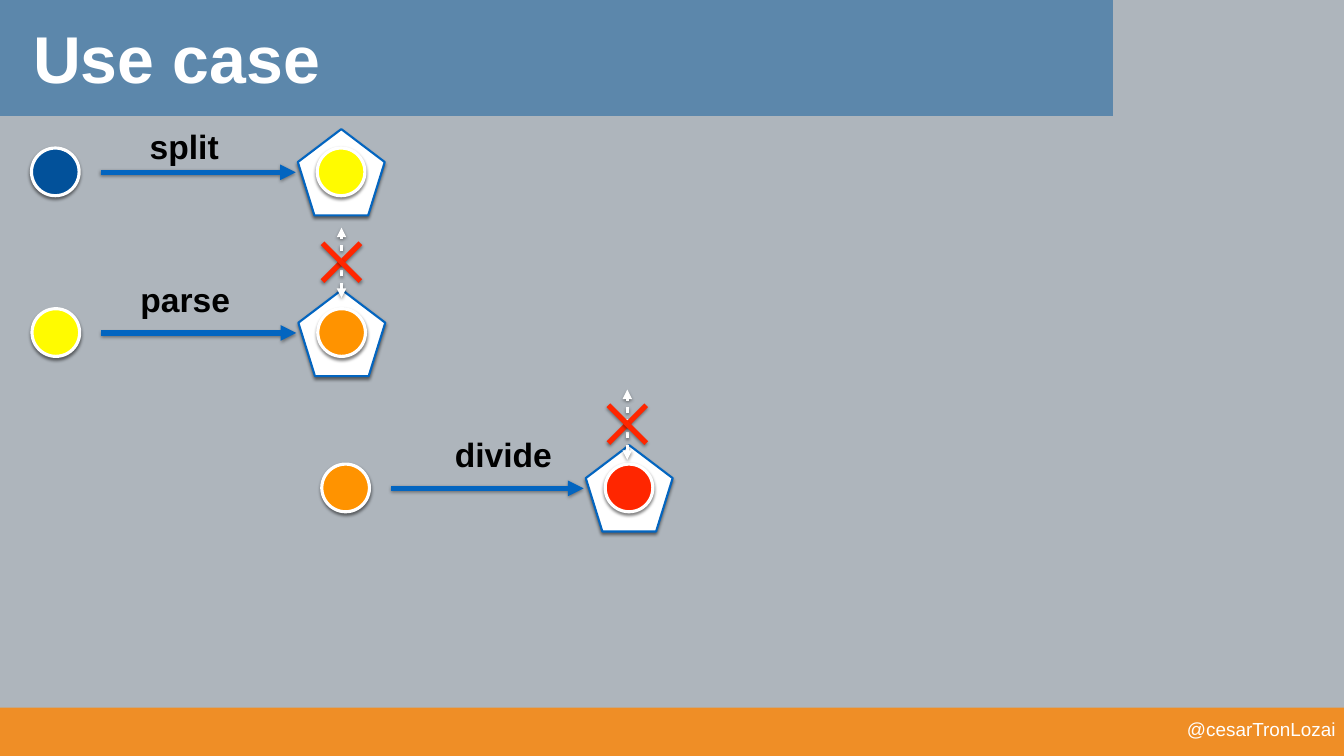
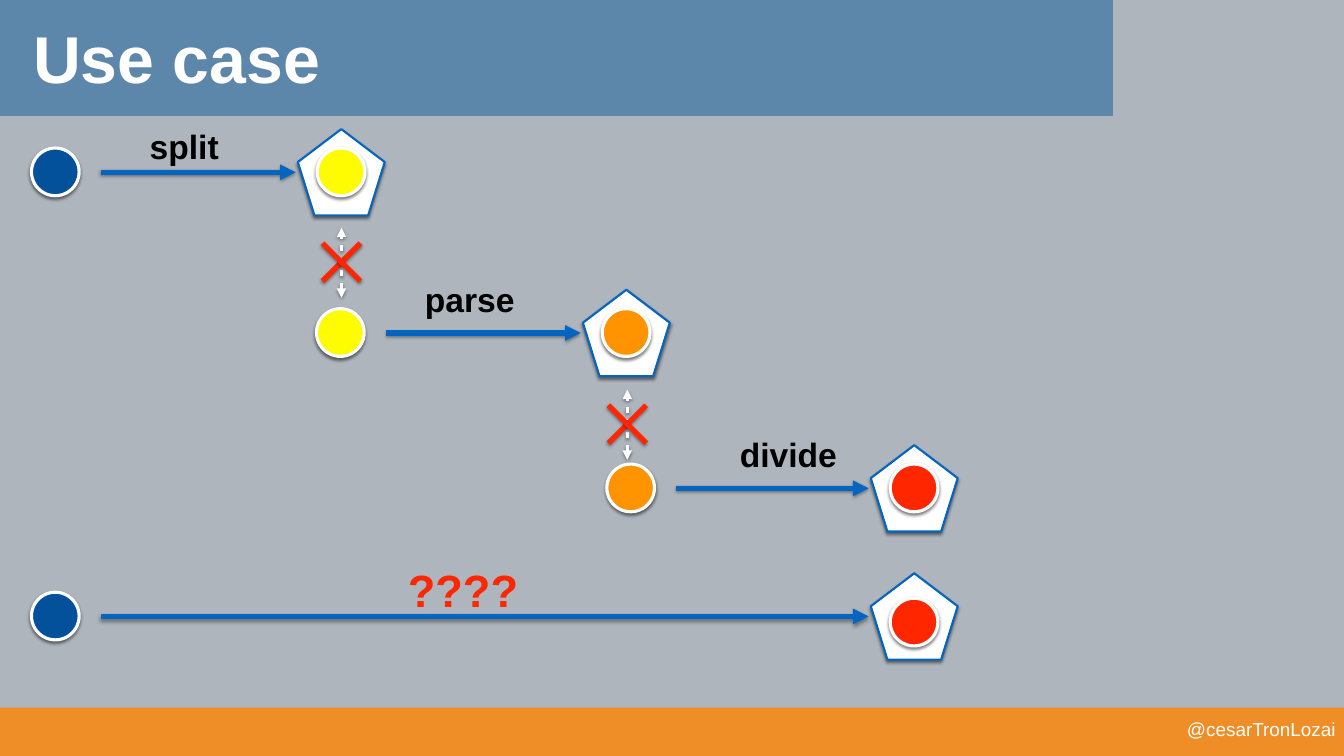
from collections import namedtuple
from dataclasses import dataclass

from pptx import Presentation
from pptx.dml.color import RGBColor
from pptx.enum.shapes import MSO_CONNECTOR, MSO_SHAPE
from pptx.enum.text import MSO_ANCHOR, MSO_AUTO_SIZE, PP_ALIGN
from pptx.oxml import parse_xml
from pptx.oxml.ns import nsdecls
from pptx.util import Pt


@dataclass(frozen=True)
class Theme:
    font: str = "Arial"
    page: str = "AEB5BC"
    band: str = "5C87AB"
    footer: str = "EF8E26"
    white: str = "FFFFFF"
    black: str = "000000"
    arrow: str = "0365C0"
    blue: str = "02519A"
    yellow: str = "FFFB00"
    orange: str = "FF9300"
    red: str = "FF2600"
    title_size: int = 63
    label_size: int = 32
    question_size: int = 43
    handle_size: int = 18


T = Theme()
Box = namedtuple("Box", "left top width height")
Label = namedtuple("Label", "text x y size color", defaults=(T.label_size, T.black))
Step = namedtuple("Step", "left top width source target label drop", defaults=(0,))

W, H = 1280.16, 720
TITLE = Box(28, -24.5, 1152, 158.4)
STEP_H = 82.2
PENTAGON_W = 82.8
TOKEN = 45.4
TOKEN_INSET = 18.5
ARROW_START = 66
BREAK_W, BREAK_H, CROSS_TOP = 36, 67, 15


def pts(*values):
    return [Pt(v) for v in values]


def rgb(value):
    return RGBColor.from_string(value)


def set_attrs(obj, values):
    for name, value in values.items():
        setattr(obj, name, value)


def add_shadow(sp, blur, dist, alpha):
    sp._element.spPr.append(parse_xml(
        f'<a:effectLst {nsdecls("a")}><a:outerShdw blurRad="{Pt(blur)}" '
        f'dist="{Pt(dist)}" dir="5400000" algn="ctr" rotWithShape="0">'
        f'<a:srgbClr val="{T.black}"><a:alpha val="{alpha}000"/></a:srgbClr>'
        f'</a:outerShdw></a:effectLst>'))


def add_filled(shapes, kind, box, fill, line=None, weight=0):
    sp = shapes.add_shape(kind, *pts(*box))
    sp.fill.solid()
    sp.fill.fore_color.rgb = rgb(fill)
    if line:
        sp.line.color.rgb = rgb(line)
        sp.line.width = Pt(weight)
        add_shadow(sp, 3, 2, 50)
    else:
        sp.line.fill.background()
        sp.shadow.inherit = False
    return sp


def add_line(shapes, start, end, color, weight, ends=(), dashed=False):
    cx = shapes.add_connector(MSO_CONNECTOR.STRAIGHT, *pts(*start, *end))
    cx.line.color.rgb = rgb(color)
    cx.line.width = Pt(weight)
    ln = cx.line._get_or_add_ln()
    if dashed:
        ln.append(parse_xml(f'<a:custDash {nsdecls("a")}>'
                            '<a:ds d="200000" sp="200000"/></a:custDash>'))
    for name in ends:
        ln.append(parse_xml(f'<a:{name} {nsdecls("a")} type="triangle"/>'))
    add_shadow(cx, 3, 1.6, 38)


def write_text(sp, text, size, color, align, bold=True, wrap=True, inset=0):
    tf = sp.text_frame
    tf.text = text
    set_attrs(tf, {
        "word_wrap": wrap, "auto_size": MSO_AUTO_SIZE.NONE,
        "vertical_anchor": MSO_ANCHOR.MIDDLE,
        **{f"margin_{side}": Pt(inset) for side in ("left", "top", "right", "bottom")}})
    p = tf.paragraphs[0]
    p.alignment = align
    r = p.runs[0]
    set_attrs(r.font, {"name": T.font, "size": Pt(size), "bold": bold})
    r.font.color.rgb = rgb(color)


def add_token(shapes, left, top, color):
    add_filled(shapes, MSO_SHAPE.OVAL, (left, top, TOKEN, TOKEN), color, T.white, 3)


def add_label(shapes, x, y, label):
    w, h = len(label.text) * label.size * 0.6, label.size * 1.4
    sp = shapes.add_textbox(*pts(x - w / 2, y - h / 2, w, h))
    write_text(sp, label.text, label.size, label.color, PP_ALIGN.CENTER, wrap=False)


def build_frame(layout, s):
    layout.background.fill.solid()
    layout.background.fill.fore_color.rgb = rgb(T.page)
    band = add_filled(s.shapes, MSO_SHAPE.RECTANGLE, (0, -1.5, 1060, 112), T.band)
    footer = add_filled(s.shapes, MSO_SHAPE.RECTANGLE, (0, 674, W + 3.5, 49), T.footer)
    handle = s.shapes.add_textbox(*pts(713.5, 684, 558.75, 20))
    write_text(handle, "@cesarTronLozai", T.handle_size, T.white, PP_ALIGN.RIGHT, bold=False)
    for i, sp in enumerate((band, footer, handle)):
        layout.shapes.element.insert(2 + i, sp._element)


def draw_step(shapes, step):
    box = Box(step.left, step.top, step.width, STEP_H)
    pentagon = box.left + box.width - PENTAGON_W
    token_top = box.top + 18
    mid = box.top + STEP_H / 2
    add_filled(shapes, MSO_SHAPE.REGULAR_PENTAGON,
               (pentagon, box.top, PENTAGON_W, box.height), T.white, T.arrow, 2)
    add_token(shapes, box.left, token_top, step.source)
    add_token(shapes, pentagon + TOKEN_INSET, token_top + step.drop, step.target)
    add_line(shapes, (box.left + ARROW_START, mid), (pentagon - 2, mid),
             T.arrow, 5, ["tailEnd"])
    add_label(shapes, box.left + step.label.x, box.top + step.label.y, step.label)


def draw_break(shapes, left, top):
    x, right = left + BREAK_W / 2, left + BREAK_W
    cross, bottom = top + CROSS_TOP, top + CROSS_TOP + BREAK_W
    add_line(shapes, (x, top + BREAK_H), (x, top), T.white, 3,
             ["headEnd", "tailEnd"], dashed=True)
    add_line(shapes, (left, bottom), (right, cross), T.red, 5)
    add_line(shapes, (right, bottom), (left, cross), T.red, 5)


def build_use_case(s, steps, breaks):
    title = s.shapes.title
    set_attrs(title, dict(zip(Box._fields, pts(*TITLE))))
    write_text(title, "Use case", T.title_size, T.white, PP_ALIGN.LEFT, inset=3.6)
    for step in steps:
        draw_step(s.shapes.add_group_shape().shapes, step)
    for corner in breaks:
        draw_break(s.shapes.add_group_shape().shapes, *corner)


def main():
    prs = Presentation()
    set_attrs(prs, {"slide_width": Pt(W), "slide_height": Pt(H)})
    layout = prs.slide_layouts[5]

    split = Step(30, 123, 336.5, T.blue, T.yellow, Label("split", 145.5, 16.5))
    parse_step = Step(30.5, 276, 336.5, T.yellow, T.orange, Label("parse", 146, 9))
    divide = Step(306.5, 424, 334.25, T.orange, T.red, Label("divide", 173, 8))
    question = Step(30, 546, 882.25, T.blue, T.red,
                    Label("????", 411, 15.5, T.question_size, T.red), drop=5.75)
    breaks = [(307.25, 216.75), (579.5, 371)]

    slides = [
        [split, parse_step, divide],
        [split, parse_step._replace(left=301.5), divide._replace(left=578), question],
    ]
    for i, steps in enumerate(slides):
        s = prs.slides.add_slide(layout)
        if i == 0:
            build_frame(layout, s)
        build_use_case(s, steps, breaks)
    prs.save("out.pptx")


if __name__ == "__main__":
    main()
